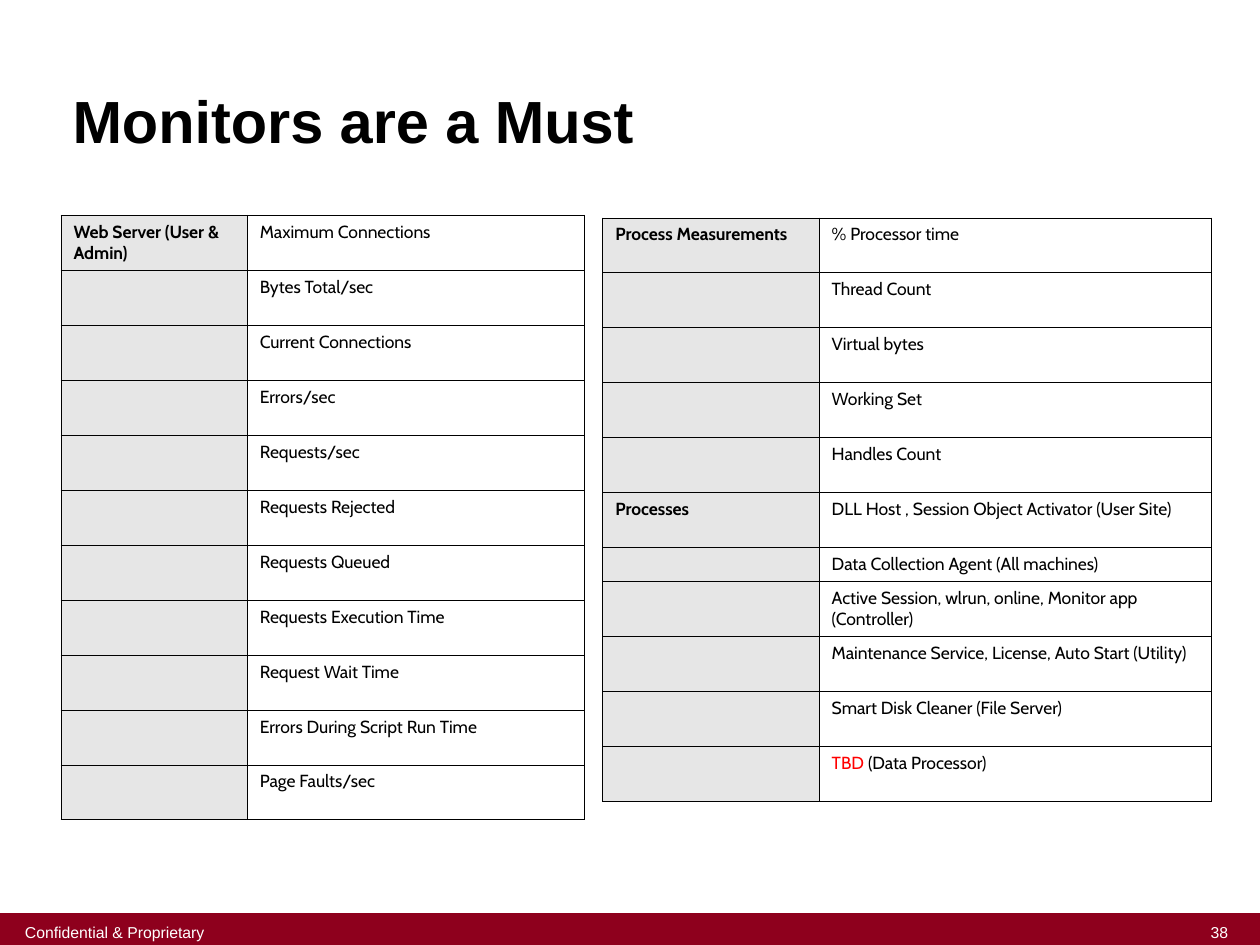
from lxml.etree import SubElement
from pptx import Presentation
from pptx.dml.color import RGBColor
from pptx.enum.shapes import MSO_SHAPE
from pptx.enum.text import MSO_ANCHOR, MSO_AUTO_SIZE, PP_ALIGN
from pptx.oxml.ns import qn
from pptx.util import Pt

COLORS = {
    "black": "000000",
    "white": "FFFFFF",
    "grey": "E6E6E6",
    "red": "FF0000",
    "maroon": "8E001D",
}

WEB_SERVER = [
    ("Web Server (User & Admin)", "Maximum Connections"),
    ("", "Bytes Total/sec"),
    ("", "Current Connections"),
    ("", "Errors/sec"),
    ("", "Requests/sec"),
    ("", "Requests Rejected"),
    ("", "Requests Queued"),
    ("", "Requests Execution Time"),
    ("", "Request Wait Time"),
    ("", "Errors During Script Run Time"),
    ("", "Page Faults/sec"),
]

PROCESSES = [
    ("Process Measurements", "% Processor time"),
    ("", "Thread Count"),
    ("", "Virtual bytes"),
    ("", "Working Set"),
    ("", "Handles Count"),
    ("Processes", "DLL Host , Session Object Activator (User Site)"),
    ("", "Data Collection Agent (All machines)"),
    ("", "Active Session, wlrun, online, Monitor app (Controller)"),
    ("", "Maintenance Service, License, Auto Start (Utility)"),
    ("", "Smart Disk Cleaner (File Server)"),
    ("", "TBD"),
]


class SlideBuilder:
    heading_font = "Arial"
    table_font = "Cabin"
    table_size = 10
    row_height = 31.43
    border_width = 0.45

    def __init__(self, page):
        self.page = page

    def color(self, name):
        return RGBColor.from_string(COLORS[name])

    def style(self, span, font, size, color, bold=False):
        span.font.name = font
        span.font.size = Pt(size)
        span.font.bold = bold
        span.font.color.rgb = self.color(color)

    def bar(self, left, top, width, height, color):
        shape = self.page.shapes.add_shape(
            MSO_SHAPE.RECTANGLE, Pt(left), Pt(top), Pt(width), Pt(height))
        shape.shadow.inherit = False
        shape.fill.solid()
        shape.fill.fore_color.rgb = self.color(color)
        shape.line.color.rgb = self.color(color)
        shape.line.width = Pt(1)

    def text(self, words, left, top, width, height, size, color, bold=False,
             align=PP_ALIGN.LEFT, anchor=MSO_ANCHOR.TOP, wrap=True, spacing=1.0,
             auto_size=MSO_AUTO_SIZE.NONE):
        box = self.page.shapes.add_textbox(Pt(left), Pt(top), Pt(width), Pt(height))
        frame = box.text_frame
        frame.text = words
        frame.word_wrap = wrap
        frame.auto_size = auto_size
        frame.vertical_anchor = anchor
        para = frame.paragraphs[0]
        para.alignment = align
        para.line_spacing = spacing
        self.style(para.runs[0], self.heading_font, size, color, bold)

    def border(self, cell):
        properties = cell._tc.get_or_add_tcPr()
        for side in ("a:lnL", "a:lnR", "a:lnT", "a:lnB"):
            line = SubElement(properties, qn(side), w=str(Pt(self.border_width)))
            fill = SubElement(line, qn("a:solidFill"))
            SubElement(fill, qn("a:srgbClr"), val=COLORS["black"])

    def fill_cell(self, cell, words, color, bold):
        self.border(cell)
        cell.fill.solid()
        cell.fill.fore_color.rgb = self.color(color)
        para = cell.text_frame.paragraphs[0]
        if words:
            para.text = words
            self.style(para.runs[0], self.table_font, self.table_size, "black", bold)
        else:
            SubElement(para._p, qn("a:endParaRPr"), sz=str(self.table_size * 100))

    def table(self, rows, left, top, widths, short_rows=None):
        heights = [(short_rows or {}).get(index, self.row_height)
                   for index in range(len(rows))]
        frame = self.page.shapes.add_table(
            len(rows), len(widths), Pt(left), Pt(top),
            Pt(sum(widths)), Pt(sum(heights)))
        table = frame.table
        table.first_row = False
        table.horz_banding = False
        for column, width in zip(table.columns, widths):
            column.width = Pt(width)
        for row, height, (group, monitor) in zip(table.rows, heights, rows):
            row.height = Pt(height)
            self.fill_cell(row.cells[0], group, "grey", True)
            self.fill_cell(row.cells[1], monitor, "white", False)
        return table

    def add_span(self, cell, words):
        span = cell.text_frame.paragraphs[0].add_run()
        span.text = words
        self.style(span, self.table_font, self.table_size, "black")


def main():
    deck = Presentation()
    deck.slide_width, deck.slide_height = Pt(720), Pt(540)
    builder = SlideBuilder(deck.slides.add_slide(deck.slide_layouts[6]))

    builder.bar(0, 522, 720, 18, "maroon")
    builder.text("38", 679.5, 524, 34.5, 18, 9, "white", align=PP_ALIGN.CENTER,
                 auto_size=MSO_AUTO_SIZE.SHAPE_TO_FIT_TEXT)
    builder.text("Confidential & Proprietary", 5.5, 523.5, 120, 18, 9, "white",
                 align=PP_ALIGN.CENTER, anchor=MSO_ANCHOR.MIDDLE, wrap=False,
                 auto_size=MSO_AUTO_SIZE.SHAPE_TO_FIT_TEXT)
    builder.text("Monitors are a Must", 34.4, 18, 675.5, 75, 34, "black", bold=True,
                 anchor=MSO_ANCHOR.BOTTOM, spacing=0.9)

    builder.table(WEB_SERVER, 34.8, 123, (106.5, 192.6))
    processes = builder.table(PROCESSES, 344.4, 124.5, (123.7, 224), {6: 19.4})
    pending = processes.cell(len(PROCESSES) - 1, 1)
    pending.text_frame.paragraphs[0].runs[0].font.color.rgb = builder.color("red")
    builder.add_span(pending, " (Data Processor)")

    deck.save("out.pptx")


if __name__ == "__main__":
    main()
